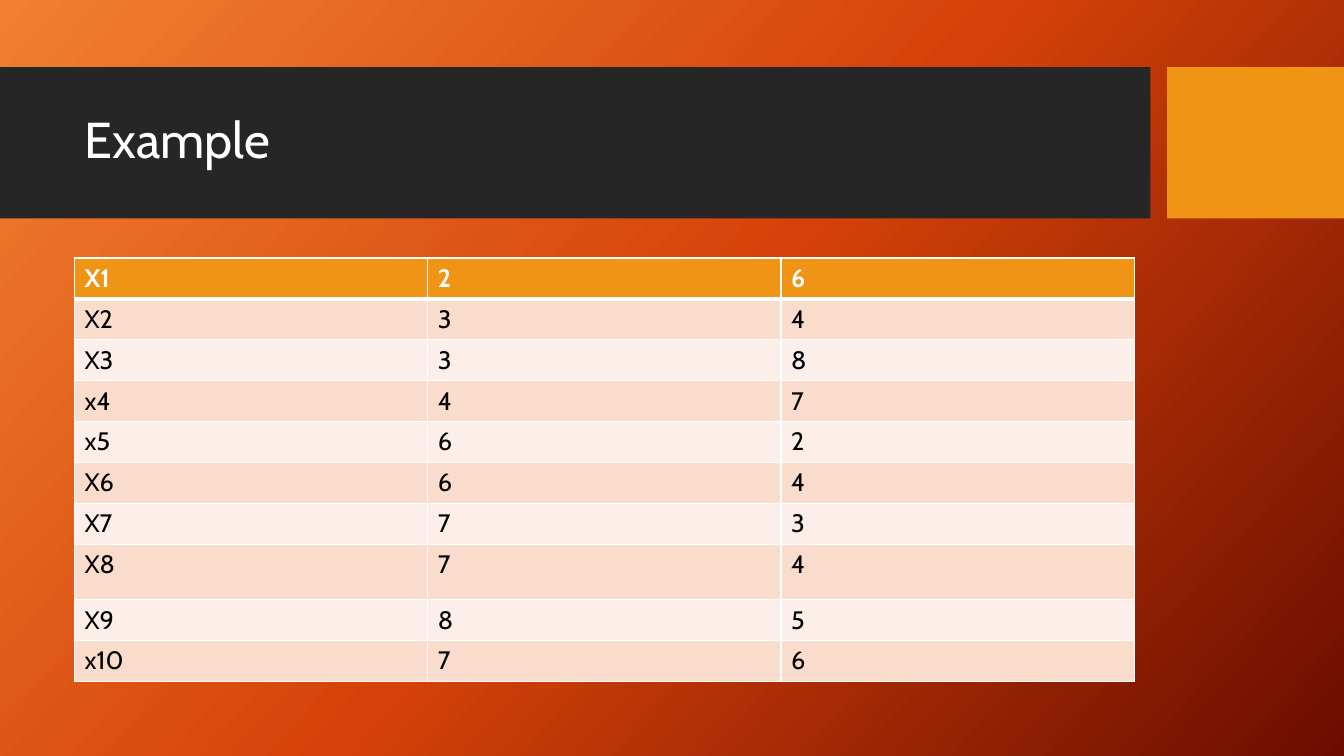
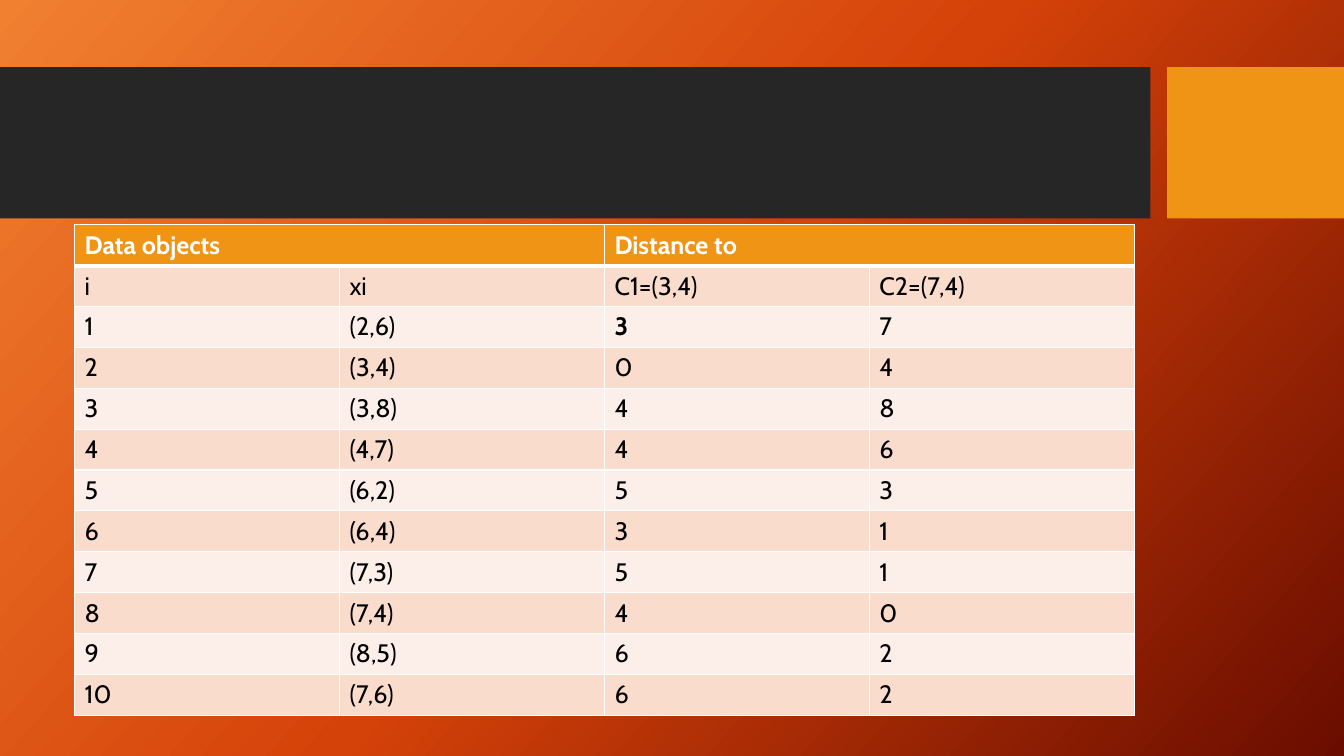
from copy import deepcopy
from dataclasses import dataclass

from lxml.etree import SubElement
from pptx import Presentation
from pptx.dml.color import RGBColor as Rgb
from pptx.enum.shapes import MSO_SHAPE as Shape
from pptx.enum.text import MSO_ANCHOR as Anchor, MSO_AUTO_SIZE as Fit, PP_ALIGN as Align
from pptx.oxml.ns import qn
from pptx.util import Inches, Pt

WIDE, HIGH = Inches(13.33), Inches(7.5)
FONT = "Cabin"
ROW = 29.2  # usual row height, points
INK = {
    "white": "FFFFFF", "black": "000000", "band": "262626", "gold": "F09415",
    "odd": "F9DCCC", "even": "FCEEE8",
    "light": "F18031", "mid": "D54209", "dark": "6A0D00",
}


@dataclass(frozen=True)
class Box:
    """A place in percent of the slide's width and height."""
    left: float
    top: float
    width: float
    height: float

    def place(self) -> tuple[int, int, int, int]:
        return (int(WIDE * self.left / 100), int(HIGH * self.top / 100),
                int(WIDE * self.width / 100), int(HIGH * self.height / 100))


@dataclass(frozen=True)
class Band:
    box: Box
    ink: str


@dataclass(frozen=True)
class Page:
    title: str
    top: float                             # top of the table, percent
    rows: tuple[tuple[str, ...], ...]
    span: int = 1                          # columns under each heading
    tall: tuple[tuple[int, float], ...] = ()  # (row, points)
    bold: tuple[tuple[int, int], ...] = ()    # (row, column)


BANDS = (
    Band(Box(0, 8.9, 85.6, 20), "band"),
    Band(Box(86.85, 8.9, 13.15, 20), "gold"),
)
TITLE = Box(5.55, 10.93, 78.85, 15.73)

# Sample points and their distances to the two centres
POINTS = ((2, 6), (3, 4), (3, 8), (4, 7), (6, 2),
          (6, 4), (7, 3), (7, 4), (8, 5), (7, 6))
NAMES = ("X1", "X2", "X3", "x4", "x5", "X6", "X7", "X8", "X9", "x10")
GAPS = ((3, 7), (0, 4), (4, 8), (4, 6), (5, 3),
        (3, 1), (5, 1), (4, 0), (6, 2), (6, 2))

PAGES = (
    Page("Example", 34.13,
         tuple((name, str(a), str(b)) for name, (a, b) in zip(NAMES, POINTS)),
         tall=((7, 39.6),)),
    Page("", 29.73,
         (("Data objects", "", "Distance to", ""),
          ("i", "xi", "C1=(3,4)", "C2=(7,4)"),
          *((str(i), f"({a},{b})", str(c), str(d))
            for i, ((a, b), (c, d)) in enumerate(zip(POINTS, GAPS), 1))),
         span=2, bold=((2, 2),)),
)


def tint(ink: str) -> Rgb:
    return Rgb.from_string(INK[ink])


def style(para, size: float, ink: str, bold: bool = False) -> None:
    for run in para.runs:
        run.font.name, run.font.size, run.font.bold = FONT, Pt(size), bold
        run.font.color.rgb = tint(ink)


def set_back(master) -> None:
    fill = master.background.fill
    fill.gradient()
    fill.gradient_angle = 360 - 42
    stops = master.element.find(".//" + qn("a:gsLst"))
    stops.append(deepcopy(stops[-1]))
    for stop, ink, pos in zip(fill.gradient_stops, ("light", "mid", "dark"), (0, 0.5, 1)):
        stop.color.rgb, stop.position = tint(ink), pos


def add_bands(slide, master) -> None:
    """Draw the bands, then move them to the back of the master."""
    for i, band in enumerate(BANDS):
        bar = slide.shapes.add_shape(Shape.RECTANGLE, *band.box.place())
        bar.shadow.inherit = False
        bar.fill.solid()
        bar.fill.fore_color.rgb = tint(band.ink)
        bar.line.fill.background()
        bar.element.nvSpPr.cNvPr.set("id", str(20 + i))
        master.element.cSld.spTree.insert(2 + i, bar.element)


def set_title(title, text: str) -> None:
    title.left, title.top, title.width, title.height = TITLE.place()
    frame = title.text_frame
    frame.text = text
    frame.auto_size, frame.vertical_anchor = Fit.NONE, Anchor.MIDDLE
    para = frame.paragraphs[0]
    para.alignment, para.line_spacing = Align.LEFT, 0.9
    style(para, 36, "white")


def set_edges(cell, row: int) -> None:
    """White edges, with a thick one below the heading."""
    wide = {("lnB", 0): 3, ("lnT", 1): 3}
    props = cell._tc.get_or_add_tcPr()
    for i, side in enumerate(("lnL", "lnR", "lnT", "lnB")):
        line = SubElement(props, qn("a:" + side), w=str(Pt(wide.get((side, row), 1))))
        solid = SubElement(line, qn("a:solidFill"))
        SubElement(solid, qn("a:srgbClr"), val=INK["white"])
        props.insert(i, line)


def add_grid(slide, page: Page) -> None:
    count, cols = len(page.rows), len(page.rows[0])
    tall = dict(page.tall)
    sizes = [Pt(tall.get(r, ROW)) for r in range(count)]
    left, top, width, _ = Box(TITLE.left, page.top, TITLE.width, 0).place()
    table = slide.shapes.add_table(count, cols, left, top, width, sum(sizes)).table
    for col in table.columns:
        col.width = width // cols
    for r, (texts, size) in enumerate(zip(page.rows, sizes)):
        table.rows[r].height = size
        for c, text in enumerate(texts):
            cell = table.cell(r, c)
            cell.text = text
            cell.fill.solid()
            cell.fill.fore_color.rgb = tint("gold" if r == 0 else "odd" if r % 2 else "even")
            style(cell.text_frame.paragraphs[0], 18, "black" if r else "white",
                  r == 0 or (r, c) in page.bold)
            set_edges(cell, r)
    if page.span > 1:
        for c in range(0, cols, page.span):
            table.cell(0, c).merge(table.cell(0, c + page.span - 1))


def main() -> None:
    deck = Presentation()
    deck.slide_width, deck.slide_height = WIDE, HIGH
    master = deck.slide_master
    set_back(master)
    only, blank = deck.slide_layouts[5], deck.slide_layouts[6]
    for i, page in enumerate(PAGES):
        slide = deck.slides.add_slide(only if page.title else blank)
        if i == 0:
            add_bands(slide, master)
        if page.title:
            set_title(slide.shapes.title, page.title)
        add_grid(slide, page)
    deck.save("out.pptx")


if __name__ == "__main__":
    main()
